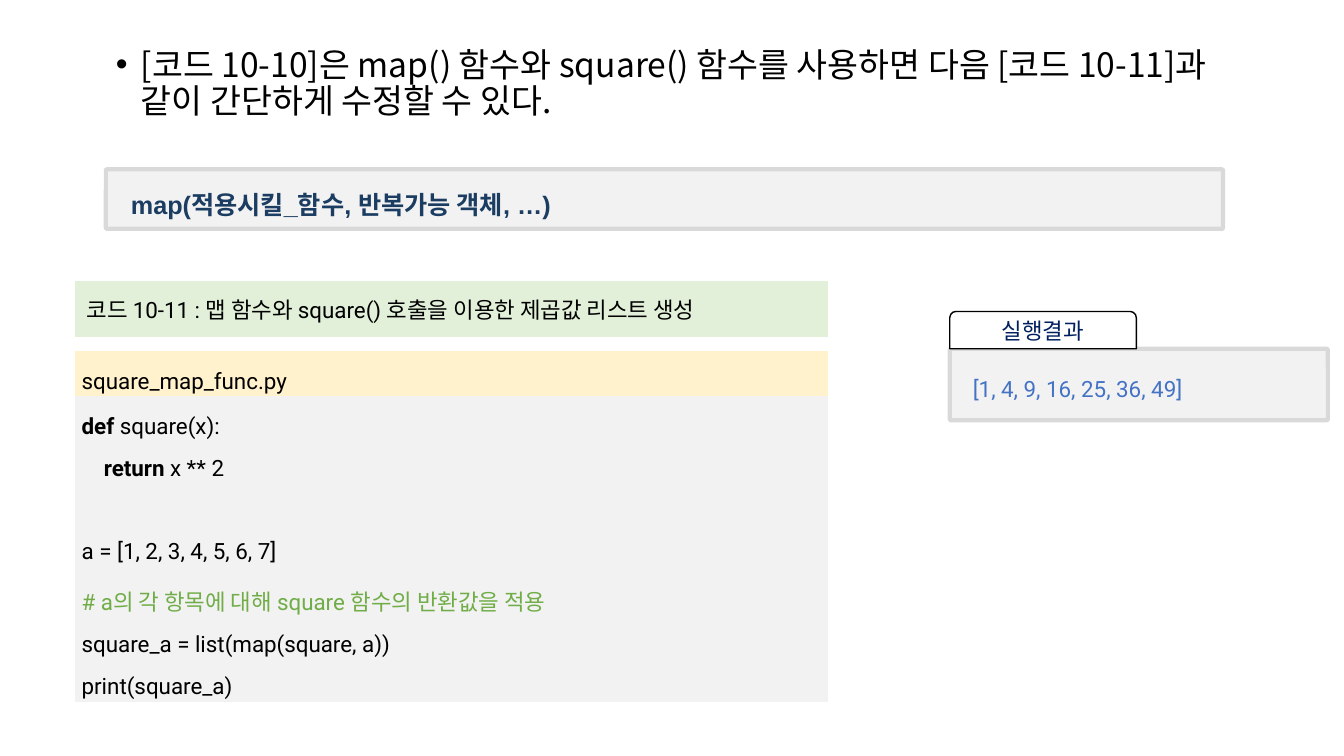
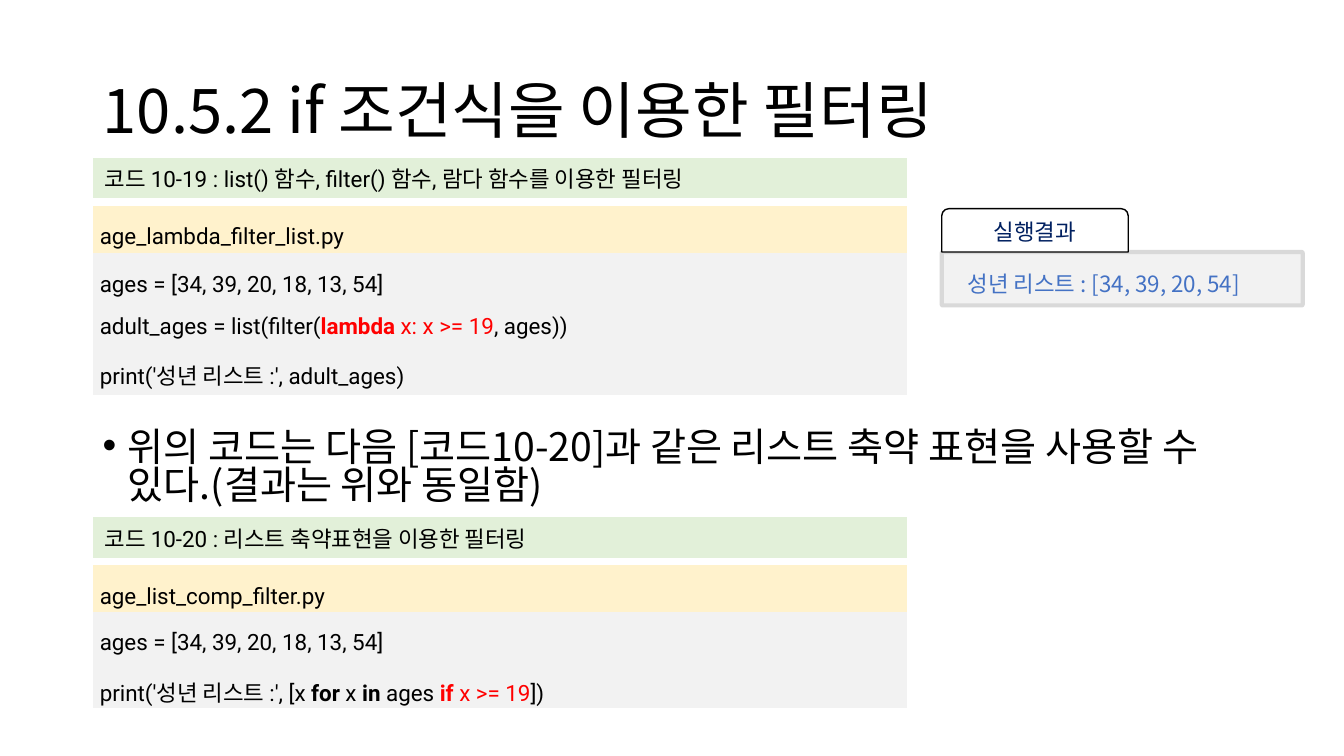
"""Builds two slides on map() and filter() with code tables and results."""
from dataclasses import dataclass

from lxml import etree
from pptx import Presentation
from pptx.dml.color import RGBColor
from pptx.enum.shapes import MSO_SHAPE
from pptx.enum.text import MSO_ANCHOR, PP_ALIGN
from pptx.oxml.ns import qn
from pptx.shapes.autoshape import Shape
from pptx.shapes.shapetree import GroupShapes, SlideShapes
from pptx.slide import Slide
from pptx.text.text import TextFrame, _Paragraph
from pptx.util import Inches, Pt

ROUNDED = MSO_SHAPE.ROUNDED_RECTANGLE
TAB = MSO_SHAPE.ROUND_2_SAME_RECTANGLE
MIDDLE = MSO_ANCHOR.MIDDLE
CENTER = PP_ALIGN.CENTER
JUSTIFY = PP_ALIGN.JUSTIFY
NO_GRID_STYLE = "{2D5ABB26-0587-4C30-8999-92F81FD0307C}"
BLANK_LAYOUT = 6
TAB_WIDTH = 1.85

Shapes = SlideShapes | GroupShapes


@dataclass(frozen=True)
class Theme:
    """Colours, fonts and type sizes."""
    black: str = "000000"
    white: str = "FFFFFF"
    caption: str = "E2F0D9"
    file_name: str = "FFF2CC"
    panel: str = "F2F2F2"
    panel_line: str = "D9D9D9"
    tab_text: str = "002060"
    result: str = "4472C4"
    syntax: str = "1C3D62"
    comment: str = "70AD47"
    highlight: str = "FF0000"
    korean: str = "Noto Sans CJK KR"
    code: str = "Roboto"
    arial: str = "Arial"
    spacer_size: int = 1
    code_size: int = 16
    syntax_size: int = 18
    body_size: int = 24
    large_body_size: int = 28
    title_size: int = 44


THEME = Theme()


@dataclass(frozen=True)
class Box:
    """A place on the slide in inches."""
    left: float
    top: float
    width: float
    height: float

    def lengths(self) -> tuple[Inches, Inches, Inches, Inches]:
        """Give the four lengths in drawing order."""
        return Inches(self.left), Inches(self.top), Inches(self.width), Inches(self.height)


@dataclass(frozen=True)
class TextStyle:
    """How a whole paragraph is set."""
    size: int
    color: str = THEME.black
    font: str = THEME.korean
    bold: bool = False
    spacing: float = 1.0
    align: PP_ALIGN | None = None
    bullet: bool = False


@dataclass(frozen=True)
class Span:
    """A piece of a line with its own weight or colour."""
    text: str
    bold: bool = False
    color: str | None = None


Line = tuple[Span, ...]


@dataclass(frozen=True)
class Listing:
    """A captioned source file shown as a table."""
    left: float
    top: float
    width: float
    row_heights: tuple[float, float, float, float]
    caption: str
    file_name: str
    lines: tuple[Line, ...]


@dataclass(frozen=True)
class Result:
    """A program's output under a labelled tab."""
    panel: Box
    tab_height: float
    text_box: Box
    text: str
    font: str


TITLE = TextStyle(THEME.title_size, spacing=0.9)
BODY = TextStyle(THEME.body_size, spacing=0.9, bullet=True)
LARGE_BODY = TextStyle(THEME.large_body_size, spacing=0.8, bullet=True)
SYNTAX = TextStyle(THEME.syntax_size, THEME.syntax, THEME.arial, bold=True, spacing=1.5)
TAB_LABEL = TextStyle(THEME.code_size, THEME.tab_text, align=CENTER)
CAPTION = TextStyle(THEME.code_size, font=THEME.code)
CODE = TextStyle(THEME.code_size, font=THEME.code, spacing=1.6, align=JUSTIFY)
SPACER = TextStyle(THEME.spacer_size, font=THEME.code)

AGES = (Span("ages = [34, 39, 20, 18, 13, 54]"),)

MAP_LISTING = Listing(
    0.74, 2.79, 7.47, (0.55, 0.14, 0.39, 2.85),
    " 코드 10-11 : 맵 함수와 square() 호출을 이용한 제곱값 리스트 생성",
    "square_map_func.py",
    (
        (Span("def", bold=True), Span(" square(x):")),
        (Span("    "), Span("return", bold=True), Span(" x ** 2")),
        (),
        (Span("a = [1, 2, 3, 4, 5, 6, 7]"),),
        (Span("# a의 각 항목에 대해 square 함수의 반환값을 적용", color=THEME.comment),),
        (Span("square_a = list(map(square, a))"),),
        (Span("print(square_a)"),),
    ),
)
FILTER_LISTING = Listing(
    0.92, 1.57, 8.08, (0.39, 0.08, 0.31, 1.41),
    " 코드 10-19 : list() 함수, filter() 함수, 람다 함수를 이용한 필터링",
    "age_lambda_filter_list.py",
    (
        AGES,
        (
            Span("adult_ages = list(filter("),
            Span("lambda", bold=True, color=THEME.highlight),
            Span(" x: x >= 19", color=THEME.highlight),
            Span(", ages))"),
        ),
        (Span("print('성년 리스트 :', adult_ages)"),),
    ),
)
COMPREHENSION_LISTING = Listing(
    0.92, 5.13, 8.08, (0.41, 0.07, 0.27, 0.95),
    " 코드 10-20 : 리스트 축약표현을 이용한 필터링",
    "age_list_comp_filter.py",
    (
        AGES,
        (
            Span("print('성년 리스트 :', [x "),
            Span("for", bold=True),
            Span(" x "),
            Span("in", bold=True),
            Span(" ages "),
            Span("if", bold=True, color=THEME.highlight),
            Span(" x >= 19", color=THEME.highlight),
            Span("])"),
        ),
    ),
)
MAP_RESULT = Result(
    Box(9.42, 3.46, 3.75, 0.71), 0.37, Box(9.55, 3.54, 3.41, 0.89),
    "[1, 4, 9, 16, 25, 36, 49]", THEME.code,
)
FILTER_RESULT = Result(
    Box(9.34, 2.5, 3.58, 0.53), 0.43, Box(9.5, 2.5, 3.26, 0.37),
    "성년 리스트 : [34, 39, 20, 54]", THEME.korean,
)


def add_bullet(paragraph: _Paragraph) -> None:
    """Give a paragraph a hanging bullet."""
    properties = paragraph._p.get_or_add_pPr()
    properties.set("marL", str(Inches(0.25)))
    properties.set("indent", str(-Inches(0.25)))
    etree.SubElement(properties, qn("a:buFont"), typeface=THEME.arial)
    etree.SubElement(properties, qn("a:buChar"), char="•")
    paragraph.space_before = Pt(10)


def write_line(paragraph: _Paragraph, line: Line, style: TextStyle) -> None:
    """Fill one paragraph with spans in a style."""
    if style.bullet:
        add_bullet(paragraph)
    paragraph.line_spacing = style.spacing
    paragraph.alignment = style.align
    font = paragraph.font
    font.size = Pt(style.size)
    font.bold = style.bold
    font.color.rgb = RGBColor.from_string(style.color)
    font.name = style.font
    defaults = paragraph._p.pPr.find(qn("a:defRPr"))
    etree.SubElement(defaults, qn("a:ea"), typeface=THEME.korean)
    for span in line:
        run = paragraph.add_run()
        run.text = span.text
        if span.bold:
            run.font.bold = True
        if span.color:
            run.font.color.rgb = RGBColor.from_string(span.color)
    if not line:
        etree.SubElement(paragraph._p, qn("a:endParaRPr"), sz=str(style.size * 100))


def write_lines(frame: TextFrame, lines: tuple[Line, ...], style: TextStyle) -> None:
    """Fill a text frame, one paragraph a line."""
    for index, line in enumerate(lines):
        paragraph = frame.add_paragraph() if index else frame.paragraphs[0]
        write_line(paragraph, line, style)


def add_text(shapes: Shapes, box: Box, text: str, style: TextStyle) -> TextFrame:
    """Add a wrapping text box."""
    frame = shapes.add_textbox(*box.lengths()).text_frame
    frame.word_wrap = True
    write_lines(frame, ((Span(text),),), style)
    return frame


def add_box(shapes: Shapes, kind: MSO_SHAPE, box: Box, fill: str, line: str, weight: float) -> Shape:
    """Add a filled and outlined shape without shadow."""
    shape = shapes.add_shape(kind, *box.lengths())
    shape.shadow.inherit = False
    shape.fill.solid()
    shape.fill.fore_color.rgb = RGBColor.from_string(fill)
    shape.line.color.rgb = RGBColor.from_string(line)
    shape.line.width = Pt(weight)
    return shape


def add_panel(shapes: Shapes, box: Box) -> None:
    """Add a grey panel with barely rounded corners."""
    panel = add_box(shapes, ROUNDED, box, THEME.panel, THEME.panel_line, 3)
    panel.adjustments[0] = 0.02


def add_result(slide: Slide, result: Result) -> None:
    """Add a grouped output panel with its tab."""
    shapes = slide.shapes.add_group_shape().shapes
    panel = result.panel
    add_panel(shapes, panel)
    tab_box = Box(panel.left, panel.top - result.tab_height, TAB_WIDTH, result.tab_height)
    tab = add_box(shapes, TAB, tab_box, THEME.white, THEME.black, 1)
    tab.text_frame.vertical_anchor = MIDDLE
    write_lines(tab.text_frame, ((Span("실행결과"),),), TAB_LABEL)
    style = TextStyle(THEME.code_size, THEME.result, result.font, spacing=1.5)
    add_text(shapes, result.text_box, result.text, style)


def add_listing(slide: Slide, listing: Listing) -> None:
    """Add a code table of caption, gap, file name and code."""
    box = Box(listing.left, listing.top, listing.width, sum(listing.row_heights))
    table = slide.shapes.add_table(len(listing.row_heights), 1, *box.lengths()).table
    table.first_row = table.horz_banding = False
    table._tbl.tblPr.find(qn("a:tableStyleId")).text = NO_GRID_STYLE
    rows = (
        (((Span(listing.caption),),), CAPTION, THEME.caption),
        (((),), SPACER, None),
        (((Span(listing.file_name),),), CODE, THEME.file_name),
        (listing.lines, CODE, THEME.panel),
    )
    for index, (lines, style, fill) in enumerate(rows):
        table.rows[index].height = Inches(listing.row_heights[index])
        cell = table.cell(index, 0)
        cell.margin_left = cell.margin_right = Inches(0.07)
        cell.margin_top = cell.margin_bottom = Inches(0.02)
        cell.vertical_anchor = MIDDLE
        if fill:
            cell.fill.solid()
            cell.fill.fore_color.rgb = RGBColor.from_string(fill)
        else:
            cell.fill.background()
        write_lines(cell.text_frame, lines, style)


def build_map_slide(slide: Slide) -> None:
    """Show map() with its syntax, code and result."""
    add_listing(slide, MAP_LISTING)
    add_result(slide, MAP_RESULT)
    add_text(slide.shapes, Box(1.05, 0.43, 11.5, 4.76),
             "[코드 10-10]은 map() 함수와 square() 함수를 사용하면 다음 [코드 10-11]과 같이 간단하게 수정할 수 있다.", BODY)
    add_panel(slide.shapes, Box(1.05, 1.68, 11.08, 0.59))
    add_text(slide.shapes, Box(1.2, 1.68, 5.62, 0.56), "map(적용시킬_함수, 반복가능 객체, …)", SYNTAX)


def build_filter_slide(slide: Slide) -> None:
    """Show filtering by filter() and by comprehension."""
    title = add_text(slide.shapes, Box(0.92, 0.4, 11.5, 1.45), "10.5.2 if 조건식을 이용한 필터링", TITLE)
    title.vertical_anchor = MIDDLE
    add_listing(slide, FILTER_LISTING)
    add_result(slide, FILTER_RESULT)
    add_listing(slide, COMPREHENSION_LISTING)
    add_text(slide.shapes, Box(0.92, 4.23, 11.67, 0.86),
             "위의 코드는 다음 [코드10-20]과 같은 리스트 축약 표현을 사용할 수 있다.(결과는 위와 동일함)", LARGE_BODY)


def main() -> None:
    """Build and save the presentation."""
    presentation = Presentation()
    presentation.slide_width = Inches(13.33)
    presentation.slide_height = Inches(7.5)
    for build in (build_map_slide, build_filter_slide):
        build(presentation.slides.add_slide(presentation.slide_layouts[BLANK_LAYOUT]))
    presentation.save("out.pptx")


if __name__ == "__main__":
    main()
